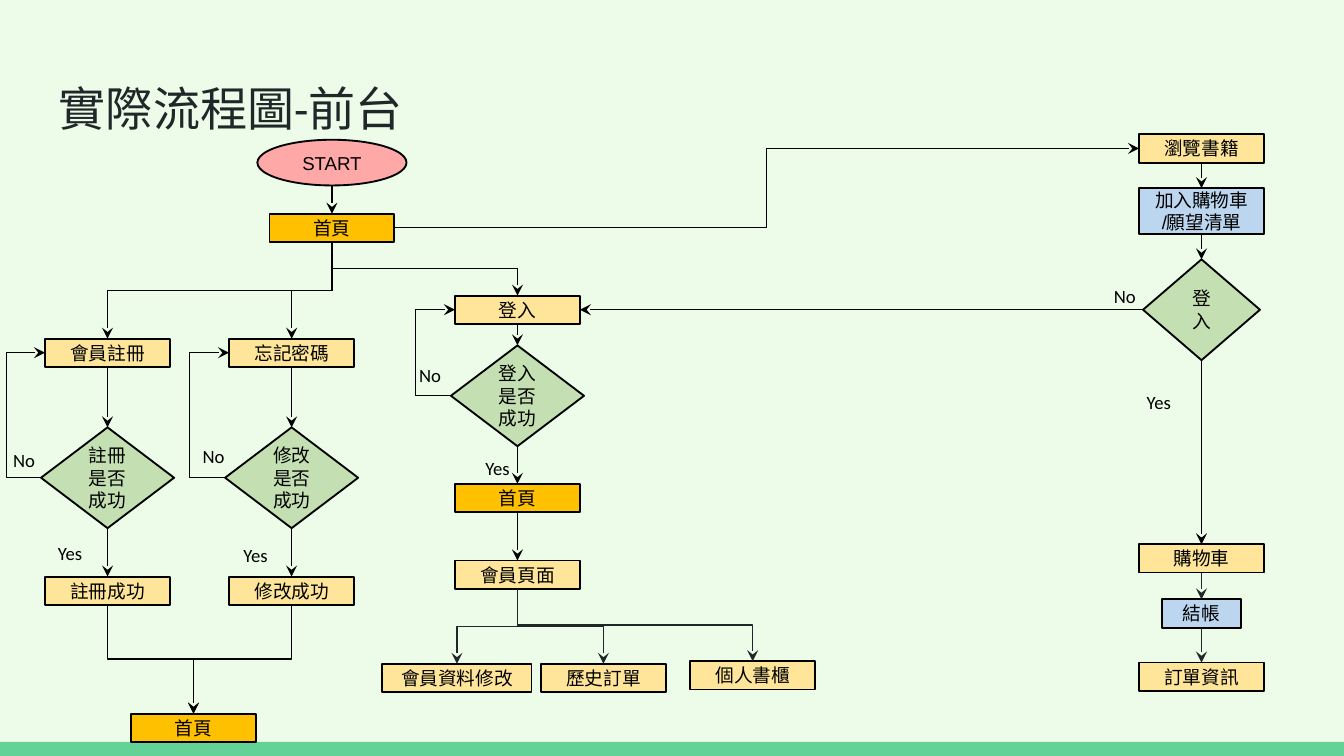
import pptx
import pptx.dml.color
import pptx.enum.shapes
import pptx.enum.text
import pptx.oxml.ns
import pptx.util

Inches = pptx.util.Inches
Pt = pptx.util.Pt
RGBColor = pptx.dml.color.RGBColor
SHAPE = pptx.enum.shapes.MSO_SHAPE
CONNECTOR = pptx.enum.shapes.MSO_CONNECTOR
ALIGN = pptx.enum.text.PP_ALIGN
ANCHOR = pptx.enum.text.MSO_ANCHOR
qn = pptx.oxml.ns.qn

BACKGROUND = RGBColor(0xED, 0xFB, 0xE9)
FOOTER = RGBColor(0x63, 0xD2, 0x97)
INK = RGBColor(0x20, 0x27, 0x29)
BLACK = RGBColor(0, 0, 0)
PINK = RGBColor(0xFE, 0xA8, 0xA8)
ORANGE = RGBColor(0xFF, 0xC0, 0x00)
YELLOW = RGBColor(0xFE, 0xE5, 0x99)
GREEN = RGBColor(0xC4, 0xE0, 0xB2)
BLUE = RGBColor(0xBB, 0xD6, 0xEE)

# Kind: preset shape, fill, width, height
KINDS = {
    "start": (SHAPE.OVAL, PINK, 1.11, 0.34),
    "home": (SHAPE.FLOWCHART_PROCESS, ORANGE, 0.93, 0.21),
    "page": (SHAPE.FLOWCHART_PROCESS, YELLOW, 0.93, 0.21),
    "wide page": (SHAPE.FLOWCHART_PROCESS, YELLOW, 1.11, 0.21),
    "action": (SHAPE.FLOWCHART_PROCESS, BLUE, 0.93, 0.34),
    "small action": (SHAPE.FLOWCHART_PROCESS, BLUE, 0.59, 0.21),
    "decision": (SHAPE.FLOWCHART_DECISION, GREEN, 0.99, 0.75),
    "small decision": (SHAPE.FLOWCHART_DECISION, GREEN, 0.87, 0.75),
}

# Column centres
REGISTER, FORGOT, MAIN, LOGIN, SHOP = 0.8, 2.17, 2.47, 3.85, 8.94

# Name: text, kind, centre x, top (\n starts a paragraph, \v breaks a line)
NODES = {
    "start": ("START", "start", MAIN, 1.04),
    "home": ("首頁", "home", MAIN, 1.59),
    "register": ("會員註冊", "page", REGISTER, 2.52),
    "register ok?": ("註冊\n是否成功", "decision", REGISTER, 3.18),
    "registered": ("註冊成功", "page", REGISTER, 4.29),
    "forgot": ("忘記密碼", "page", FORGOT, 2.52),
    "change ok?": ("修改\n是否成功", "decision", FORGOT, 3.18),
    "changed": ("修改成功", "page", FORGOT, 4.29),
    "home again": ("首頁", "home", 1.44, 5.31),
    "login": ("登入", "page", LOGIN, 2.2),
    "login ok?": ("登入是否成功", "decision", LOGIN, 2.57),
    "member home": ("首頁", "home", LOGIN, 3.6),
    "member page": ("會員頁面", "page", LOGIN, 4.17),
    "edit profile": ("會員資料修改", "wide page", 3.4, 4.94),
    "orders": ("歷史訂單", "page", 4.49, 4.94),
    "bookcase": ("個人書櫃", "page", 5.6, 4.92),
    "browse": ("瀏覽書籍", "page", SHOP, 1),
    "add": ("加入購物車\v/願望清單", "action", SHOP, 1.4),
    "logged in?": ("登入", "small decision", SHOP, 1.93),
    "cart": ("購物車", "page", SHOP, 4.05),
    "checkout": ("結帳", "small action", SHOP, 4.46),
    "order info": ("訂單資訊", "page", SHOP, 4.93),
}

# Each chain runs downwards, from bottom to top of the next node
CHAINS = [
    ("start", "home"),
    ("home", "register", "register ok?", "registered", "home again"),
    ("home", "forgot", "change ok?", "changed", "home again"),
    ("home", "login", "login ok?", "member home", "member page"),
    ("member page", "edit profile"),
    ("member page", "orders"),
    ("member page", "bookcase"),
    ("browse", "add", "logged in?", "cart", "checkout", "order info"),
]
INK_SOURCES = {"member page", "cart", "checkout"}

# Failed check, page to return to, x of the loop
RETRIES = [
    ("register ok?", "register", 0.05),
    ("change ok?", "forgot", 1.41),
    ("login ok?", "login", 3.09),
]

# Text, left, top, width
LABELS = [
    ("Yes", 0.15, 3.98, 0.56), ("Yes", 1.53, 4, 0.56),
    ("Yes", 3.25, 3.35, 0.64), ("Yes", 8.25, 2.86, 0.56),
    ("No", 0, 3.29, 0.38), ("No", 1.41, 3.26, 0.38),
    ("No", 3.02, 2.66, 0.38), ("No", 8.19, 2.07, 0.45),
]

presentation = pptx.Presentation()
presentation.slide_width = Inches(10)
presentation.slide_height = Inches(5.625)
slide = presentation.slides.add_slide(presentation.slide_layouts[6])
slide.background.fill.solid()
slide.background.fill.fore_color.rgb = BACKGROUND


def write(shape, text, size, font, color, align):
    shape.text_frame.word_wrap = True
    shape.text_frame.text = text
    for paragraph in shape.text_frame.paragraphs:
        paragraph.alignment = align
        paragraph.font.size = Pt(size)
        paragraph.font.name = font
        paragraph.font.color.rgb = color


def add_filled(preset, left, top, width, height, fill):
    shape = slide.shapes.add_shape(
        preset, Inches(left), Inches(top), Inches(width), Inches(height))
    shape.shadow.inherit = False
    shape.fill.solid()
    shape.fill.fore_color.rgb = fill
    return shape


def add_arrow(kind, begin, end, color=BLACK):
    connector = slide.shapes.add_connector(
        kind, *(Inches(value) for value in begin + end))
    connector.line.color.rgb = color
    connector.line.width = Pt(0.75)
    properties = connector._element.spPr
    line = properties.find(qn("a:ln"))
    line.append(line.makeelement(qn("a:tailEnd"), {"type": "stealth"}))
    properties.append(properties.makeelement(qn("a:effectLst"), {}))
    return connector


def add_drop(begin, end, color):
    """Straight arrow, or an elbow that leaves and arrives vertically."""
    (x1, y1), (x2, y2) = begin, end
    if x1 == x2:
        add_arrow(CONNECTOR.STRAIGHT, begin, end, color)
        return
    # Lay the elbow out horizontally about its centre, then turn it
    middle_x, middle_y = (x1 + x2) / 2, (y1 + y2) / 2
    half_length, half_height = (y2 - y1) / 2, abs(x2 - x1) / 2
    connector = add_arrow(
        CONNECTOR.ELBOW,
        (middle_x - half_length, middle_y - half_height),
        (middle_x + half_length, middle_y + half_height), color)
    transform = connector._element.spPr.find(qn("a:xfrm"))
    transform.set("rot", str((90 if x2 < x1 else 270) * 60000))
    if x2 > x1:
        transform.set("flipH", "1")


def side(name, across, down):
    """Point on a node: across and down run from 0 to 1."""
    _, kind, center, top = NODES[name]
    _, _, width, height = KINDS[kind]
    return center + (across - 0.5) * width, top + down * height


# Footer bar and title
footer = add_filled(SHAPE.RECTANGLE, 0, 5.52, 10, 0.11, FOOTER)
footer.line.fill.background()
title = slide.shapes.add_textbox(
    Inches(0.34), Inches(0.49), Inches(9.32), Inches(0.63))
title.text_frame.margin_top = title.text_frame.margin_bottom = Inches(0.1)
write(title, "實際流程圖-前台", 25.2, "Calibri", INK, ALIGN.LEFT)

# Flowchart nodes
for text, kind, center, top in NODES.values():
    preset, fill, width, height = KINDS[kind]
    node = add_filled(preset, center - width / 2, top, width, height, fill)
    node.line.color.rgb = BLACK
    node.line.width = Pt(1)
    node.text_frame.vertical_anchor = ANCHOR.MIDDLE
    write(node, text, 10, "Arial", BLACK, ALIGN.CENTER)

# Downward arrows
for chain in CHAINS:
    for source, target in zip(chain, chain[1:]):
        add_drop(side(source, 0.5, 1), side(target, 0.5, 0),
                 INK if source in INK_SOURCES else BLACK)

# Sideways arrows
add_arrow(CONNECTOR.ELBOW, side("home", 1, 0.5), side("browse", 0, 0.5))
add_arrow(CONNECTOR.STRAIGHT, side("logged in?", 0, 0.5), side("login", 1, 0.5))

# Retry loops, bent out to the left
for check, page, loop_x in RETRIES:
    begin, end = side(check, 0, 0.5), side(page, 0, 0.5)
    loop = add_arrow(CONNECTOR.ELBOW, begin, end)
    bend = round((loop_x - begin[0]) / (end[0] - begin[0]) * 100000)
    adjustments = loop._element.spPr.find(qn("a:prstGeom")).get_or_add_avLst()
    adjustments.append(adjustments.makeelement(
        qn("a:gd"), {"name": "adj1", "fmla": f"val {bend}"}))

# Branch labels
for text, left, top, width in LABELS:
    label = slide.shapes.add_textbox(
        Inches(left), Inches(top), Inches(width), Inches(0.27))
    write(label, text, 10, "Calibri", BLACK,
          ALIGN.RIGHT if text == "Yes" else ALIGN.LEFT)

presentation.save("out.pptx")
